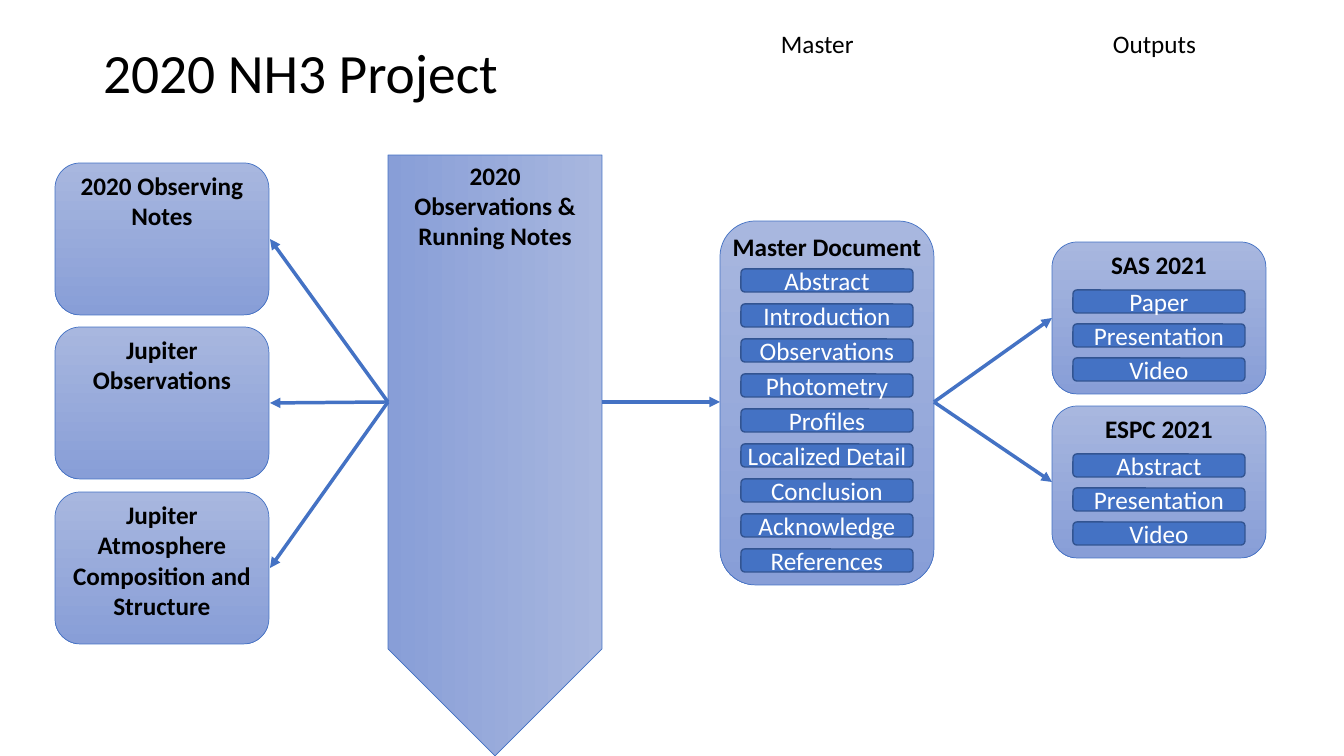
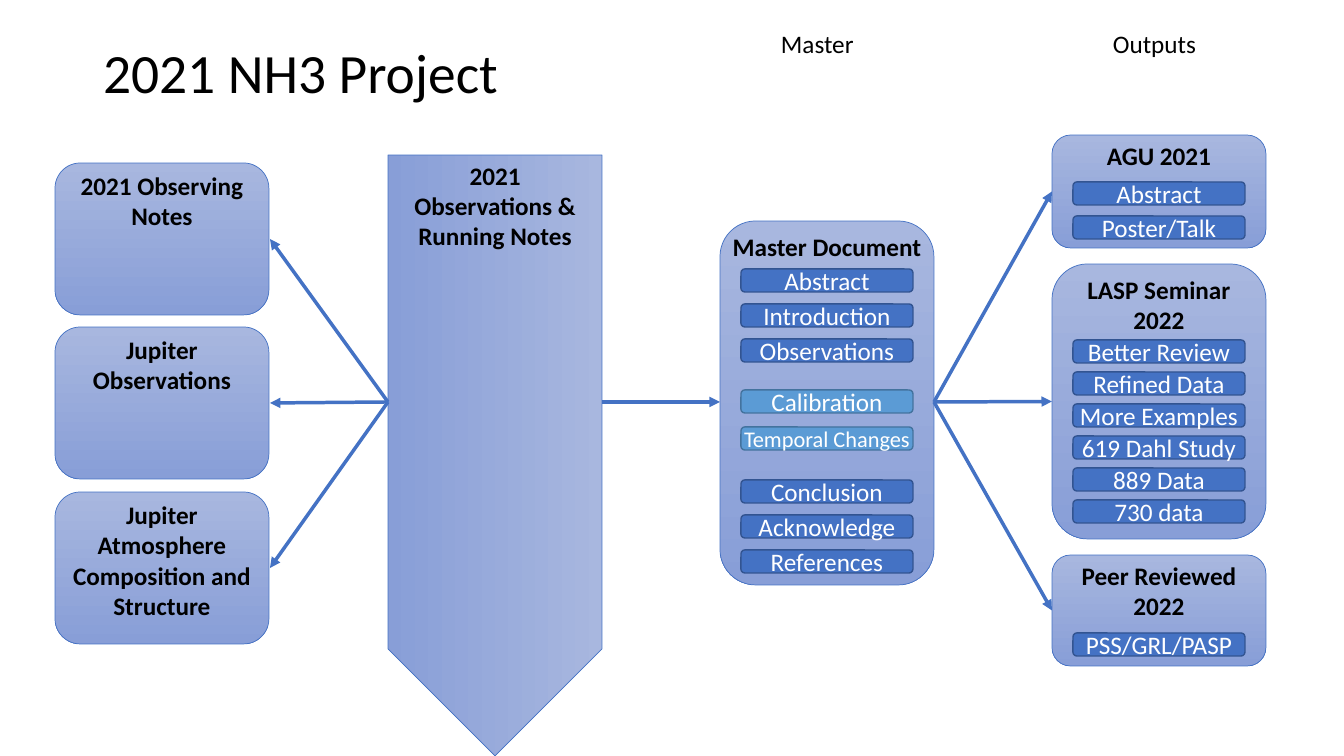
from pptx import Presentation
from pptx.dml.color import RGBColor
from pptx.enum.shapes import MSO_CONNECTOR as Connector, MSO_SHAPE as Shape
from pptx.enum.text import MSO_ANCHOR as Anchor, MSO_AUTO_SIZE as AutoSize, PP_ALIGN as Align
from pptx.oxml.ns import qn
from pptx.util import Emu, Pt
from lxml.etree import SubElement

BLUE, NAVY, SKY, STEEL = "4472C4", "325491", "5B9BD5", "43739E"
LIGHT, DARK, BLACK, WHITE = "A8B7DF", "889ED7", "000000", "FFFFFF"
NOTES_X, ARROW_X, MASTER_X, OUTPUT_X = 55, 388, 720, 1052
CARD_W, CARD_H, HUB_Y = 214, 152, 402
TAG_W, TAG_H, TAG_INDENT = 172, 23, 21


def px(count):
    return Emu(round(count * 914400 / 100.8))


def color(hex_string):
    return RGBColor.from_string(hex_string)


def assign(target, values):
    for name, value in values.items():
        setattr(target, name, value)


class Deck:
    font = "Calibri"

    def __init__(self):
        self.deck = Presentation()
        assign(self.deck, {"slide_width": px(1344), "slide_height": px(756)})
        self.page = None

    def add_page(self, title):
        self.page = self.deck.slides.add_slide(self.deck.slide_layouts[5])
        box = self.page.shapes.title
        assign(box, {"left": px(93), "top": px(40), "width": px(665), "height": px(72)})
        self.put_text(box, title, size=39.6, align=Align.LEFT, anchor=Anchor.MIDDLE)
        box.text_frame.paragraphs[0].line_spacing = 0.9

    def put_text(self, box, text, size=18, ink=BLACK, bold=False,
                 align=Align.CENTER, anchor=Anchor.TOP, insets=None):
        frame = box.text_frame
        assign(frame, {"word_wrap": True, "auto_size": AutoSize.NONE, "vertical_anchor": anchor})
        if insets:
            side, end = map(px, insets)
            assign(frame, {"margin_left": side, "margin_right": side,
                           "margin_top": end, "margin_bottom": end})
        para = frame.paragraphs[0]
        para.alignment = align
        span = para.add_run()
        span.text = text
        assign(span.font, {"name": self.font, "size": Pt(size), "bold": bold})
        span.font.color.rgb = color(ink)

    def label(self, text, left):
        box = self.page.shapes.add_textbox(px(left), px(23), px(111), px(40))
        self.put_text(box, text, align=Align.LEFT)

    def outline(self, kind, area, line, width):
        box = self.page.shapes.add_shape(kind, *map(px, area))
        box.shadow.inherit = False
        box.line.color.rgb = color(line)
        box.line.width = Pt(width)
        return box

    def shaded(self, kind, area):
        box = self.outline(kind, area, BLUE, 0.5)
        box.fill.gradient()
        box.fill.gradient_angle = 270
        for stop, shade in zip(box.fill.gradient_stops, (LIGHT, DARK)):
            stop.color.rgb = color(shade)
        return box

    def card(self, text, left, top, height=CARD_H):
        box = self.shaded(Shape.ROUNDED_RECTANGLE, (left, top, CARD_W, height))
        self.put_text(box, text, bold=True, insets=(0, 0))

    def down_arrow(self, text):
        length, top = 601, 155
        shift = (length - CARD_W) / 2
        box = self.shaded(Shape.PENTAGON, (ARROW_X - shift, top + shift, length, CARD_W))
        box.rotation = 90
        self.put_text(box, text, bold=True)
        box.text_frame._txBody.bodyPr.set("vert", "vert270")

    def tags(self, texts, card_left, top, pitch, fill=BLUE, line=NAVY, sizes=None):
        for row, text in enumerate(texts):
            area = (card_left + TAG_INDENT, top + row * pitch, TAG_W, TAG_H)
            box = self.outline(Shape.ROUNDED_RECTANGLE, area, line, 1)
            box.fill.solid()
            box.fill.fore_color.rgb = color(fill)
            self.put_text(box, text, size=sizes[row] if sizes else 18, ink=WHITE,
                          anchor=Anchor.MIDDLE, insets=(0, 5))

    def link(self, start_x, end_x, end_y):
        ends = map(px, (start_x, HUB_Y, end_x, end_y))
        link = self.page.shapes.add_connector(Connector.STRAIGHT, *ends)
        link.line.color.rgb = color(BLUE)
        link.line.width = Pt(2.5)
        SubElement(link.line._get_or_add_ln(), qn("a:tailEnd"), type="triangle")
        SubElement(link._element.spPr, qn("a:effectLst"))

    def project(self, year, sections, outputs):
        self.add_page(f"{year} NH3 Project")
        self.label("Master", 771)
        self.label("Outputs", 1103)
        self.down_arrow(f"{year} Observations & Running Notes")
        notes = {f"{year} Observing Notes": 163, "Jupiter Observations": 327,
                 "Jupiter Atmosphere Composition and Structure": 492}
        for text, top in notes.items():
            self.card(text, NOTES_X, top)
            self.link(ARROW_X, NOTES_X + CARD_W + 1, top + CARD_H / 2)
        self.card("Master Document", MASTER_X, 221, 364)
        for section in sections:
            self.tags(card_left=MASTER_X, **section)
        self.link(ARROW_X + CARD_W, MASTER_X, HUB_Y)
        for text, top, height, offset, pitch, items in outputs:
            self.card(text, OUTPUT_X, top, height)
            self.tags(items, OUTPUT_X, top + offset, pitch)
            self.link(MASTER_X + CARD_W, OUTPUT_X, top + height / 2)


OPENING = ["Abstract", "Introduction", "Observations"]
CLOSING = ["Conclusion", "Acknowledge", "References"]
RESULTS = ["Photometry", "Profiles", "Localized Detail"]

deck = Deck()
deck.project(
    2020,
    [{"texts": OPENING + RESULTS + CLOSING, "top": 269, "pitch": 35}],
    [("SAS 2021", 242, CARD_H, 48, 34, ["Paper", "Presentation", "Video"]),
     ("ESPC 2021", 406, CARD_H, 48, 34, ["Abstract", "Presentation", "Video"])])
deck.project(
    2021,
    [{"texts": OPENING, "top": 269, "pitch": 35},
     {"texts": ["Calibration", "Temporal Changes"], "top": 390, "pitch": 37,
      "fill": SKY, "line": STEEL, "sizes": [18, 16]},
     {"texts": CLOSING, "top": 480, "pitch": 35}],
    [("AGU 2021", 135, 113, 47, 34, ["Abstract", "Poster/Talk"]),
     ("LASP Seminar 2022", 264, 275, 76, 32,
      ["Better Review", "Refined Data", "More Examples",
       "619 Dahl Study", "889 Data", "730 data"]),
     ("Peer Reviewed 2022", 555, 111, 78, 34, ["PSS/GRL/PASP"])])
deck.deck.save("out.pptx")
